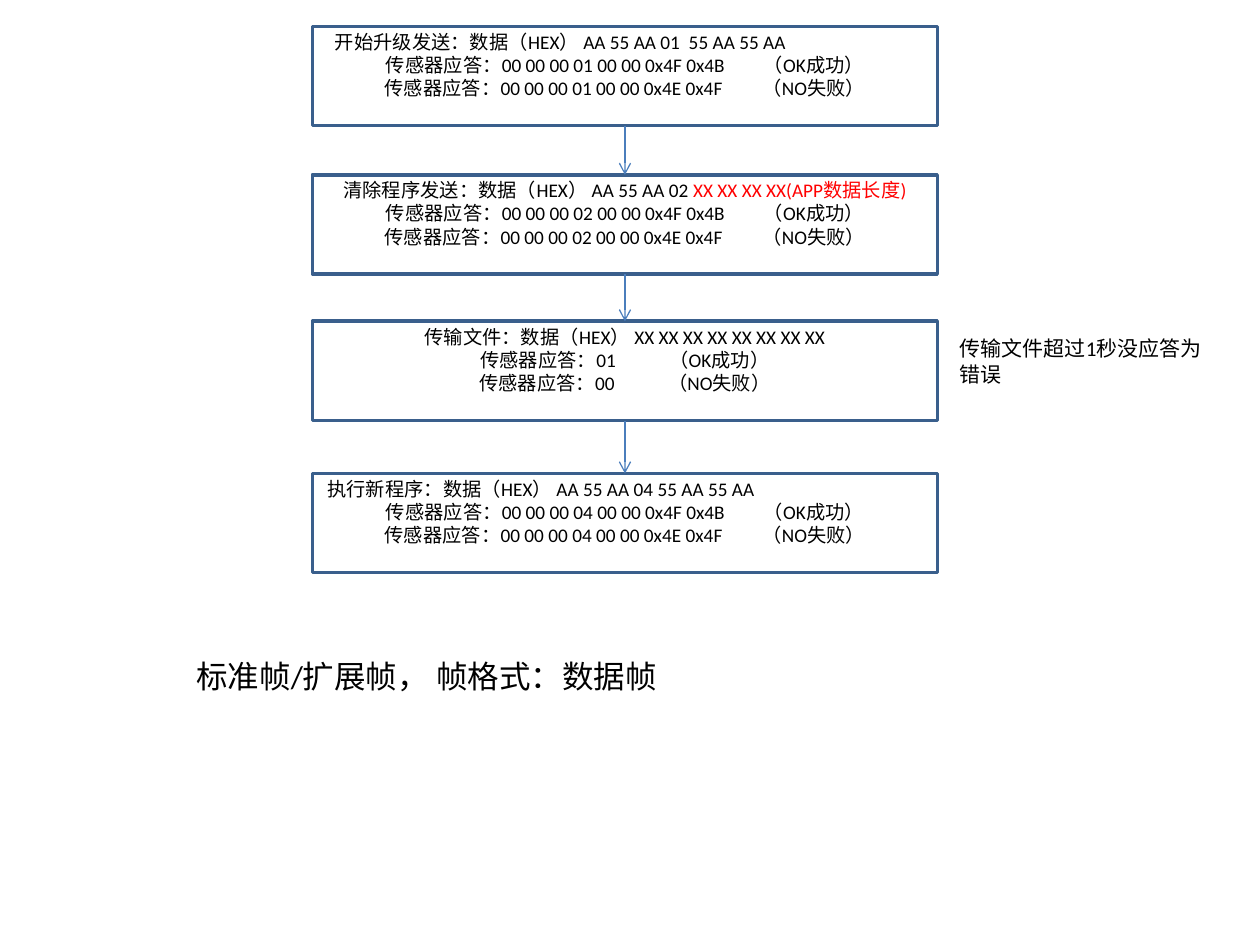
from dataclasses import dataclass

from lxml import etree
from pptx import Presentation
from pptx.dml.color import RGBColor
from pptx.enum.shapes import MSO_CONNECTOR, MSO_SHAPE
from pptx.enum.text import MSO_ANCHOR, PP_ALIGN
from pptx.oxml.ns import qn
from pptx.util import Inches, Pt

RECTANGLE = MSO_SHAPE.RECTANGLE
STRAIGHT = MSO_CONNECTOR.STRAIGHT
LEFT, CENTER = PP_ALIGN.LEFT, PP_ALIGN.CENTER
TOP = MSO_ANCHOR.TOP
TOP_SIDE, BOTTOM_SIDE = 0, 2

SLIDE_WIDTH, SLIDE_HEIGHT = Inches(10), Inches(7.5)
FONT = "Calibri"
COLORS = {
    "box": "FFFFFF",
    "border": "3A5F8C",
    "arrow": "4B7EBC",
    "text": "000000",
    "length": "FF0000",
}

# Shares of the slide's width and height
STEP_LEFT, STEP_WIDTH, STEP_HEIGHT = 0.248, 0.496, 0.105


@dataclass
class Step:
    top: float
    command: str
    ok_reply: str
    failed_reply: str
    length_field: str = ""
    align: PP_ALIGN = CENTER
    left_inset: float = 0.1


@dataclass
class Note:
    left: float
    top: float
    width: float
    height: float
    text: str
    size: int


STEPS = [
    Step(0.028, "开始升级发送：数据（HEX） AA 55 AA 01  55 AA 55 AA",
         "00 00 00 01 00 00 0x4F 0x4B", "00 00 00 01 00 00 0x4E 0x4F",
         align=LEFT, left_inset=0.08),
    Step(0.185, "清除程序发送：数据（HEX） AA 55 AA 02 ",
         "00 00 00 02 00 00 0x4F 0x4B", "00 00 00 02 00 00 0x4E 0x4F",
         length_field="XX XX XX XX(APP数据长度)"),
    Step(0.34, "传输文件：数据（HEX） XX XX XX XX XX XX XX XX", "01", "00"),
    Step(0.501, "执行新程序：数据（HEX） AA 55 AA 04 55 AA 55 AA",
         "00 00 00 04 00 00 0x4F 0x4B", "00 00 00 04 00 00 0x4E 0x4F",
         align=LEFT, left_inset=0.02),
]

NOTES = [
    Note(0.752, 0.349, 0.228, 0.067, "传输文件超过1秒没应答为错误", 12),
    Note(0.146, 0.689, 0.732, 0.053, "标准帧/扩展帧， 帧格式：数据帧", 18),
]


def color(name: str) -> RGBColor:
    return RGBColor.from_string(COLORS[name])


def area(left: float, top: float, width: float, height: float) -> tuple:
    """Turn shares of the slide into lengths."""
    return (round(left * SLIDE_WIDTH), round(top * SLIDE_HEIGHT),
            round(width * SLIDE_WIDTH), round(height * SLIDE_HEIGHT))


def format_paragraph(paragraph, size: int, align: PP_ALIGN) -> None:
    paragraph.alignment = align
    paragraph.font.name = FONT
    paragraph.font.size = Pt(size)
    paragraph.font.color.rgb = color("text")


def add_step(shapes, step: Step):
    box = shapes.add_shape(
        RECTANGLE, *area(STEP_LEFT, step.top, STEP_WIDTH, STEP_HEIGHT))
    box.shadow.inherit = False
    box.fill.solid()
    box.fill.fore_color.rgb = color("box")
    box.line.color.rgb = color("border")
    box.line.width = Pt(2)

    frame = box.text_frame
    frame.word_wrap = True
    frame.vertical_anchor = TOP
    frame.margin_top = Inches(0.03)

    command = frame.paragraphs[0]
    command.add_run().text = step.command
    format_paragraph(command, 11, step.align)
    if step.align == LEFT:
        command._p.get_or_add_pPr().set("marL", str(Inches(step.left_inset)))
    if step.length_field:
        length = command.add_run()
        length.text = step.length_field
        length.font.color.rgb = color("length")

    for reply, result in ((step.ok_reply, "OK成功"),
                          (step.failed_reply, "NO失败")):
        answer = frame.add_paragraph()
        answer.add_run().text = f"传感器应答：{reply}\t（{result}）"
        format_paragraph(answer, 11, CENTER)
    return box


def add_arrow(shapes, upper, lower) -> None:
    arrow = shapes.add_connector(STRAIGHT, 0, 0, 0, 0)
    arrow.begin_connect(upper, BOTTOM_SIDE)
    arrow.end_connect(lower, TOP_SIDE)
    arrow.line.color.rgb = color("arrow")
    arrow.line.width = Pt(0.75)
    etree.SubElement(arrow.line._get_or_add_ln(), qn("a:tailEnd"), type="arrow")
    etree.SubElement(arrow._element.spPr, qn("a:effectLst"))


def add_note(shapes, note: Note) -> None:
    frame = shapes.add_textbox(
        *area(note.left, note.top, note.width, note.height)).text_frame
    frame.word_wrap = True
    frame.paragraphs[0].add_run().text = note.text
    format_paragraph(frame.paragraphs[0], note.size, LEFT)


def main() -> None:
    presentation = Presentation()
    presentation.slide_width = SLIDE_WIDTH
    presentation.slide_height = SLIDE_HEIGHT
    blank_layout = presentation.slide_layouts[6]
    shapes = presentation.slides.add_slide(blank_layout).shapes

    boxes = [add_step(shapes, step) for step in STEPS]
    for upper, lower in zip(boxes, boxes[1:]):
        add_arrow(shapes, upper, lower)
    for note in NOTES:
        add_note(shapes, note)

    presentation.save("out.pptx")


if __name__ == "__main__":
    main()
